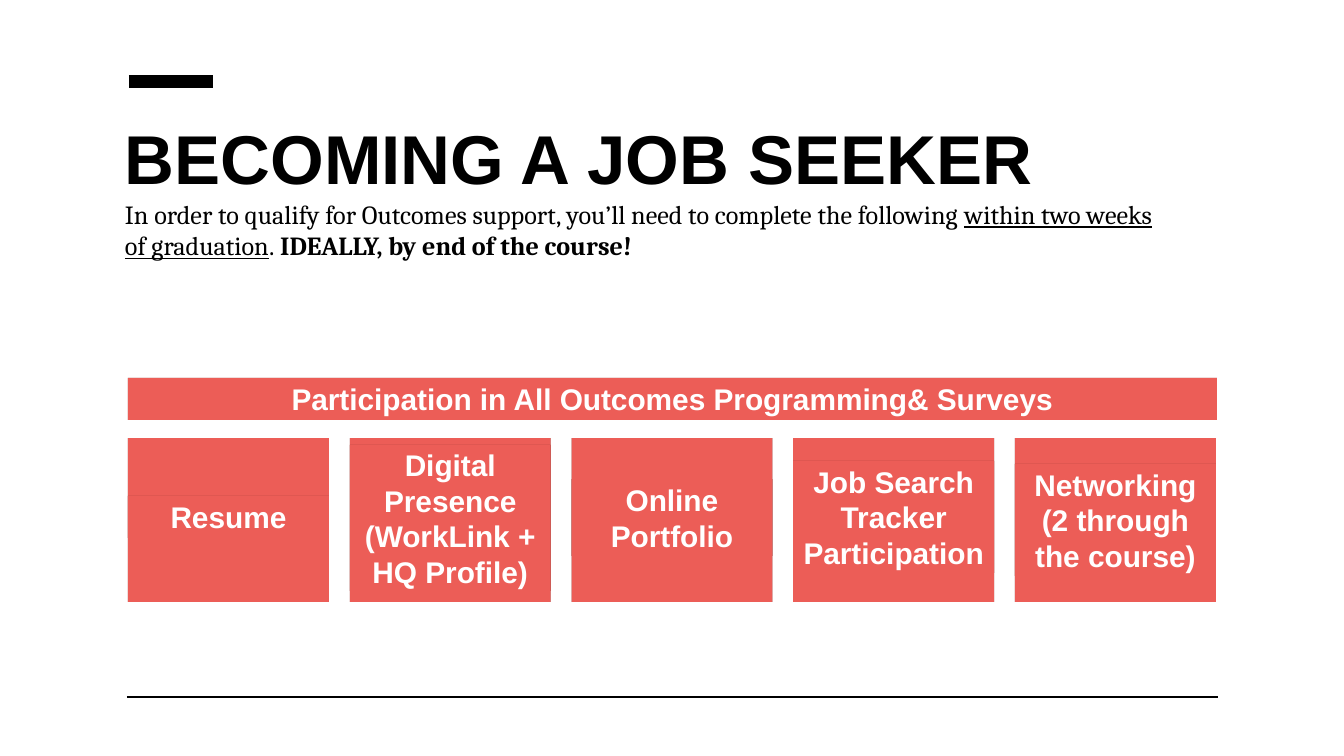
from lxml import etree
from pptx import Presentation
from pptx.dml.color import RGBColor
from pptx.enum.shapes import MSO_CONNECTOR, MSO_SHAPE
from pptx.enum.text import MSO_ANCHOR, PP_ALIGN
from pptx.oxml.ns import qn
from pptx.util import Emu, Pt

RECT, STRAIGHT = MSO_SHAPE.RECTANGLE, MSO_CONNECTOR.STRAIGHT
MIDDLE, CENTER, LEFT = MSO_ANCHOR.MIDDLE, PP_ALIGN.CENTER, PP_ALIGN.LEFT

HEADING = [
    [("BECOMING A JOB SEEKER", "title")],
    [
        ("In order to qualify for Outcomes support, you’ll need to complete the following ", "body"),
        ("within two weeks of graduation", "underlined"),
        (".", "body"),
        (" IDEALLY, by end of the course!", "strong"),
    ],
]
BANNER = ["Participation in All Outcomes Programming& Surveys"]
CARDS = [
    (["Resume"], 496, 42),
    (["Digital Presence (WorkLink + HQ Profile)"], 445, 146),
    (["Online", "Portfolio"], 479, 77),
    (["Job Search Tracker Participation"], 461, 112),
    (["Networking (2 through the course)"], 464, 112),
]
RULES = [(129, 213, 82, 7), (127, 1218, 697, 0.75)]

BLACK, WHITE, CORAL = (RGBColor.from_string(c) for c in ("000000", "FFFFFF", "EC5D57"))
BODY = {"name": "Cambria", "size": Pt(14), "bold": False}
THEME = {
    "title": {"name": "Arial", "size": Pt(37), "bold": True},
    "body": BODY,
    "underlined": {**BODY, "underline": True},
    "strong": {**BODY, "bold": True},
    "label": {"name": "Arial", "size": Pt(16), "bold": True},
}

SLIDE_W, SLIDE_H = 1344, 756
ROW_LEFT, ROW_RIGHT = 128, 1216
CARD_Y, CARD_W, CARD_H = 438, 201, 164
CARD_PITCH = (ROW_RIGHT - ROW_LEFT - CARD_W) / (len(CARDS) - 1)
BANNER_BOX = (ROW_LEFT, 378, 1089, 42)
HEADING_BOX = (120, 112, 1043, 152)


def px(n):
    return Emu(round(n * 914400 / 134.4))


def write(shape, paragraphs, color, align, inset):
    tf = shape.text_frame
    margins = {f"margin_{side}": px(inset) for side in ("left", "top", "right", "bottom")}
    for key, value in {"word_wrap": True, "vertical_anchor": MIDDLE, **margins}.items():
        setattr(tf, key, value)
    for i, runs in enumerate(paragraphs):
        p = tf.add_paragraph() if i else tf.paragraphs[0]
        p.alignment = align
        for text, style in runs:
            r = p.add_run()
            r.text = text
            for key, value in THEME[style].items():
                setattr(r.font, key, value)
            r.font.color.rgb = color


def add_block(s, box, lines=()):
    shape = s.shapes.add_shape(RECT, *map(px, box))
    shape.fill.solid()
    shape.fill.fore_color.rgb = CORAL
    shape.line.fill.background()
    shape.shadow.inherit = False
    effects = shape._element.spPr.find(qn("a:effectLst"))
    shadow = etree.SubElement(effects, qn("a:outerShdw"), blurRad="0", dist="0", dir="0")
    tint = etree.SubElement(shadow, qn("a:srgbClr"), val="000000")
    etree.SubElement(tint, qn("a:alpha"), val="45000")
    if lines:
        write(shape, [[(line, "label")] for line in lines], WHITE, CENTER, 4)


def add_rule(s, x1, x2, y, width):
    line = s.shapes.add_connector(STRAIGHT, px(x1), px(y), px(x2), px(y))
    line.line.color.rgb = BLACK
    line.line.width = Pt(width)
    etree.SubElement(line._element.spPr, qn("a:effectLst"))


def main():
    prs = Presentation()
    prs.slide_width, prs.slide_height = px(SLIDE_W), px(SLIDE_H)
    s = prs.slides.add_slide(prs.slide_layouts[6])
    for rule in RULES:
        add_rule(s, *rule)
    write(s.shapes.add_textbox(*map(px, HEADING_BOX)), HEADING, BLACK, LEFT, 5)
    add_block(s, BANNER_BOX, BANNER)
    for i, (lines, top, height) in enumerate(CARDS):
        x = ROW_LEFT + i * CARD_PITCH
        add_block(s, (x, CARD_Y, CARD_W, CARD_H))
        add_block(s, (x, top, CARD_W, height), lines)
    prs.save("out.pptx")


if __name__ == "__main__":
    main()
